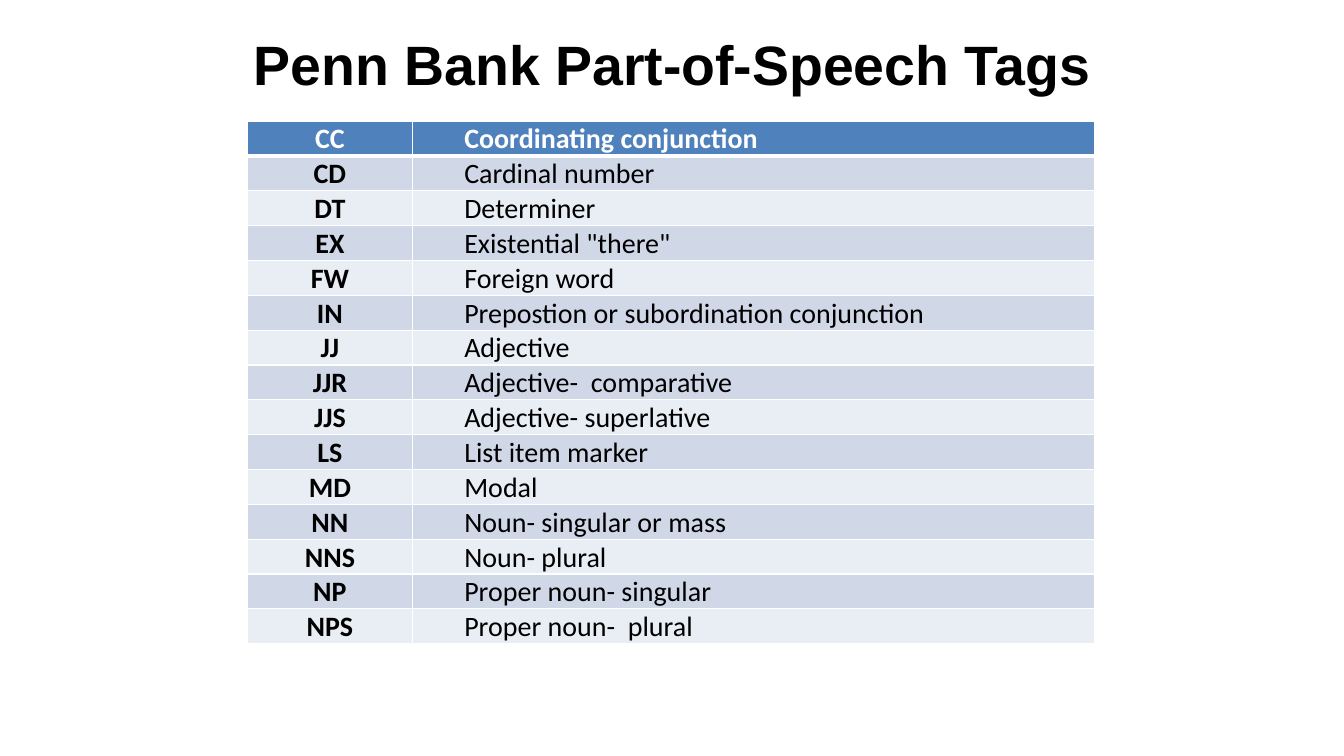
import pptx
import pptx.util
import pptx.dml.color
import pptx.enum.text
import pptx.oxml
import pptx.oxml.ns

TITLE = "Penn Bank Part-of-Speech Tags"
TAGS = [
    ("CC", "Coordinating conjunction"),
    ("CD", "Cardinal number"),
    ("DT", "Determiner"),
    ("EX", 'Existential "there"'),
    ("FW", "Foreign word"),
    ("IN", "Prepostion or subordination conjunction"),
    ("JJ", "Adjective"),
    ("JJR", "Adjective-  comparative"),
    ("JJS", "Adjective- superlative"),
    ("LS", "List item marker"),
    ("MD", "Modal"),
    ("NN", "Noun- singular or mass"),
    ("NNS", "Noun- plural"),
    ("NP", "Proper noun- singular"),
    ("NPS", "Proper noun-  plural"),
]
COLORS = {
    "text": "000000",
    "header_text": "FFFFFF",
    "border": "FFFFFF",
    "header": "4F81BD",
    "odd": "D0D8E8",
    "even": "E9EDF4",
}
COLUMN_WIDTHS = (4.17, 17.19)
ROW_HEIGHT = 0.87
MARGIN = 0.03
INDENT = 1.27

Cm = pptx.util.Cm
Pt = pptx.util.Pt
ALIGN = pptx.enum.text.PP_ALIGN
ANCHOR = pptx.enum.text.MSO_ANCHOR


def rgb(name):
    return pptx.dml.color.RGBColor.from_string(COLORS[name])


def format_run(span, font, size, bold, color):
    span.font.name = font
    span.font.size = Pt(size)
    span.font.bold = bold
    span.font.color.rgb = rgb(color)


def add_border(cell, side, width):
    """Draw one edge (L, R, T or B) of a cell; call in that order, before the fill."""
    cell._tc.get_or_add_tcPr().append(pptx.oxml.parse_xml(
        f'<a:ln{side} {pptx.oxml.ns.nsdecls("a")} w="{Pt(width)}">'
        f'<a:solidFill><a:srgbClr val="{COLORS["border"]}"/></a:solidFill>'
        f'</a:ln{side}>'))


def add_title(slide):
    box = slide.shapes.add_textbox(Cm(1.7), Cm(0.76), Cm(30.48), Cm(3.18))
    frame = box.text_frame
    frame.word_wrap = True
    frame.margin_top = frame.margin_bottom = 0
    frame.vertical_anchor = ANCHOR.TOP
    frame.text = TITLE
    para = frame.paragraphs[0]
    para.alignment = ALIGN.CENTER
    format_run(para.runs[0], "Arial", 39.6, True, "text")


def fill_cell(cell, text, row, column):
    is_header = row == 0
    is_tag = column == 0
    cell.margin_left = cell.margin_right = cell.margin_top = Cm(MARGIN)
    cell.margin_bottom = 0
    cell.vertical_anchor = ANCHOR.BOTTOM
    for side in "LRTB":
        under_header = (side, row) in (("B", 0), ("T", 1))
        add_border(cell, side, 3 if under_header else 1)
    cell.fill.solid()
    cell.fill.fore_color.rgb = rgb(
        "header" if is_header else "odd" if row % 2 else "even")

    cell.text_frame.text = text
    para = cell.text_frame.paragraphs[0]
    if is_tag:
        para.alignment = ALIGN.CENTER
    else:
        para.level = 1
        properties = para._p.get_or_add_pPr()
        properties.set("marL", str(Cm(INDENT)))
        properties.set("indent", "0")
    format_run(para.runs[0], "Calibri", 20, is_header or is_tag,
               "header_text" if is_header else "text")


def add_tag_table(slide):
    table = slide.shapes.add_table(
        len(TAGS), len(COLUMN_WIDTHS), Cm(6.23), Cm(3.05),
        Cm(sum(COLUMN_WIDTHS)), Cm(ROW_HEIGHT * len(TAGS))).table
    for column, width in zip(table.columns, COLUMN_WIDTHS):
        column.width = Cm(width)
    for row, texts in enumerate(TAGS):
        table.rows[row].height = Cm(ROW_HEIGHT)
        for column, text in enumerate(texts):
            fill_cell(table.cell(row, column), text, row, column)


def main():
    deck = pptx.Presentation()
    deck.slide_width = Cm(33.87)
    deck.slide_height = Cm(19.05)
    slide = deck.slides.add_slide(deck.slide_layouts[6])
    add_title(slide)
    add_tag_table(slide)
    deck.save("out.pptx")


if __name__ == "__main__":
    main()
